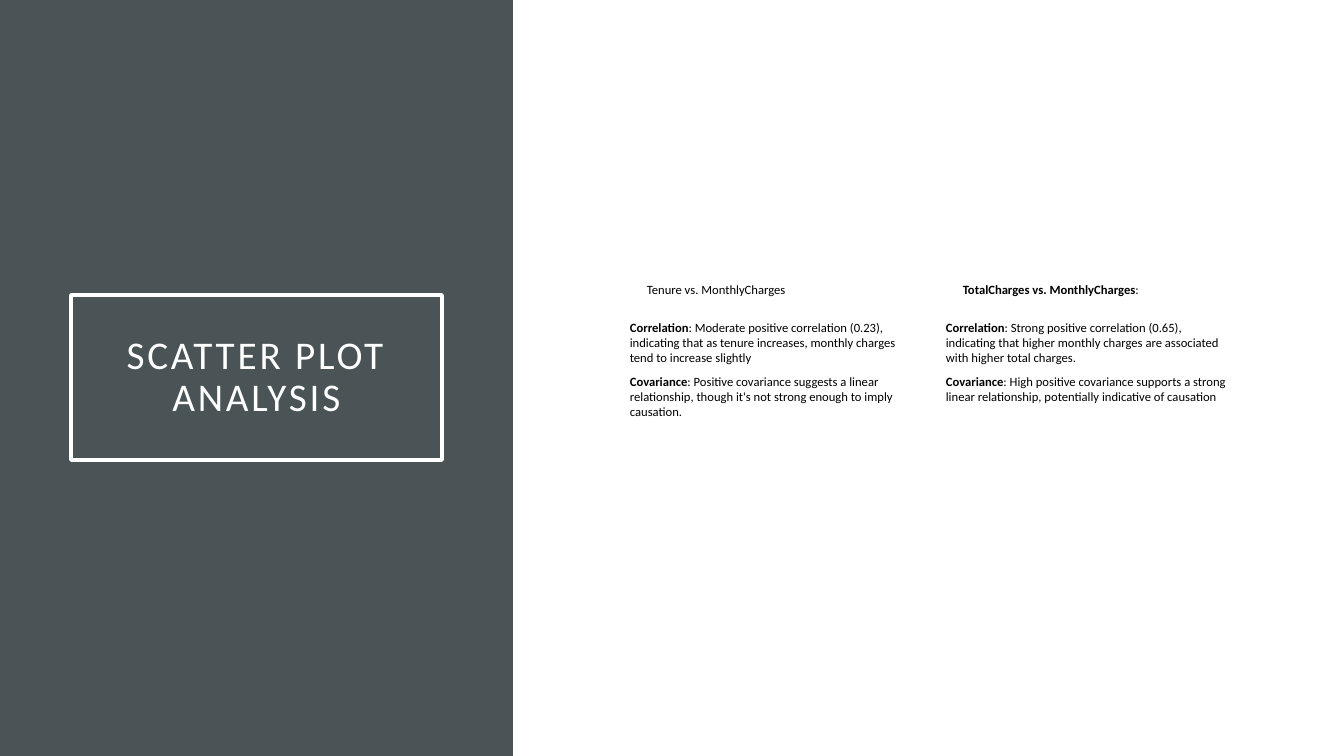
from pptx import Presentation
from pptx.dml.color import RGBColor
from pptx.enum.shapes import MSO_SHAPE
from pptx.enum.text import MSO_ANCHOR, MSO_AUTO_SIZE, PP_ALIGN
from pptx.util import Pt

SLATE = RGBColor(0x4A, 0x53, 0x56)
WHITE = RGBColor(0xFF, 0xFF, 0xFF)
BLACK = RGBColor(0x00, 0x00, 0x00)
FONT = "Calibri"


def px(n):
    return round(n * 914400 / 100.8)


def add_text(s, x, y, w, h, paragraphs):
    tf = s.shapes.add_textbox(px(x), px(y), px(w), px(h)).text_frame
    tf.word_wrap = True
    for i, runs in enumerate(paragraphs):
        p = tf.paragraphs[0] if i == 0 else tf.add_paragraph()
        p.space_after = Pt(6)
        for text, bold in runs:
            r = p.add_run()
            r.text = text
            r.font.name = FONT
            r.font.size = Pt(9)
            r.font.bold = bold
            r.font.color.rgb = BLACK


prs = Presentation()
prs.slide_width = px(1344)
prs.slide_height = px(756)
s = prs.slides.add_slide(prs.slide_layouts[5])

panel = s.shapes.add_shape(MSO_SHAPE.RECTANGLE, 0, 0, px(513), px(756))
panel.shadow.inherit = False
panel.fill.solid()
panel.fill.fore_color.rgb = SLATE
panel.line.fill.background()

title = s.shapes.title
panel._element.addnext(title._element)
title.left, title.top, title.width, title.height = px(71), px(295), px(371), px(165)
title.line.color.rgb = WHITE
title.line.width = Pt(2.5)
tf = title.text_frame
tf.word_wrap = True
tf.auto_size = MSO_AUTO_SIZE.NONE
tf.vertical_anchor = MSO_ANCHOR.MIDDLE
tf.margin_left = tf.margin_right = tf.margin_top = tf.margin_bottom = px(20)
p = tf.paragraphs[0]
p.alignment = PP_ALIGN.CENTER
p.line_spacing = 0.9
r = p.add_run()
r.text = "SCATTER PLOT ANALYSIS"
r.font.name = FONT
r.font.size = Pt(28)
r.font.color.rgb = WHITE
r.font._element.set("spc", "200")

columns = [
    (
        [("Tenure vs. MonthlyCharges", False)],
        ": Moderate positive correlation (0.23), indicating that as tenure increases, "
        "monthly charges tend to increase slightly",
        ": Positive covariance suggests a linear relationship, though it's not strong "
        "enough to imply causation.",
    ),
    (
        [("TotalCharges vs. MonthlyCharges", True), (":", False)],
        ": Strong positive correlation (0.65), indicating that higher monthly charges "
        "are associated with higher total charges.",
        ": High positive covariance supports a strong linear relationship, potentially "
        "indicative of causation",
    ),
]
for i, (heading, correlation, covariance) in enumerate(columns):
    x = 620 + i * 316
    add_text(s, x + 17, 277, 285, 30, [heading])
    add_text(s, x, 315, 302, 164, [
        [("Correlation", True), (correlation, False)],
        [("Covariance", True), (covariance, False)],
    ])

prs.save("out.pptx")
